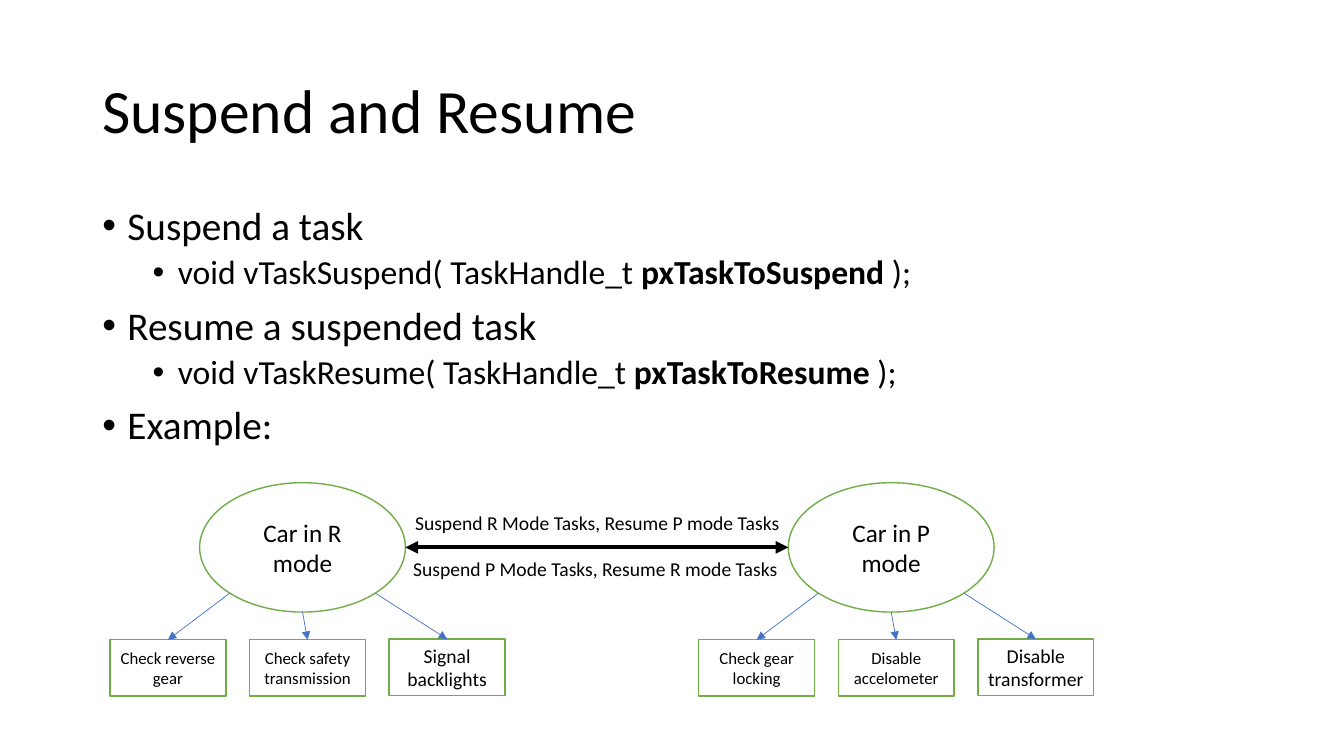
import math

import pptx
import pptx.dml.color
import pptx.enum.shapes
import pptx.enum.text
import pptx.oxml.ns
import pptx.util
from lxml import etree

Pt = pptx.util.Pt
SHAPE = pptx.enum.shapes.MSO_SHAPE
ANCHOR = pptx.enum.text.MSO_ANCHOR
ALIGN = pptx.enum.text.PP_ALIGN
qn = pptx.oxml.ns.qn

COLORS = {"text": "000000", "fill": "FFFFFF", "outline": "70AD47", "arrow": "4472C4"}

BULLETS = [
    (0, ["Suspend a task"]),
    (1, ["void vTaskSuspend( TaskHandle_t ", "pxTaskToSuspend", " );"]),
    (0, ["Resume a suspended task"]),
    (1, ["void vTaskResume( TaskHandle_t ", "pxTaskToResume", " );"]),
    (0, ["Example:"]),
]
MODES = [
    ("Car in R mode", ["Check reverse gear", "Check safety transmission", "Signal backlights"]),
    ("Car in P mode", ["Check gear locking", "Disable accelometer", "Disable transformer"]),
]
MODE_X, MODE_Y, MODE_W, MODE_H, MODE_STEP = 142.6, 344.8, 147, 92.4, 420.5
TASK_DX, TASK_W, TASK_H, TASK_STEP = -64, 82.8, 40.3, 99.7
TASK_STYLES = [(12, 457), (12, 457), (14, 456.5)]  # text size, top


class Deck:
    font = "Calibri"

    def __init__(self):
        self.prs = pptx.Presentation()
        self.prs.slide_width, self.prs.slide_height = Pt(960), Pt(540)
        self.slide = self.prs.slides.add_slide(self.prs.slide_layouts[6])

    def color(self, name):
        return pptx.dml.color.RGBColor.from_string(COLORS[name])

    def format_runs(self, p, size):
        for r in p.runs:
            r.font.name, r.font.size = self.font, Pt(size)
            r.font.color.rgb = self.color("text")

    def text(self, x, y, w, h, text, size, anchor=ANCHOR.TOP, wrap=True):
        sp = self.slide.shapes.add_textbox(Pt(x), Pt(y), Pt(w), Pt(h))
        tf = sp.text_frame
        tf.word_wrap, tf.vertical_anchor = wrap, anchor
        tf.text = text
        tf.paragraphs[0].line_spacing = 0.9 if wrap else 1.0
        self.format_runs(tf.paragraphs[0], size)

    def bullets(self, x, y, w, h, items):
        """Add a two-level list; the second part of an item is bold."""
        tf = self.slide.shapes.add_textbox(Pt(x), Pt(y), Pt(w), Pt(h)).text_frame
        tf.word_wrap = True
        for i, (level, parts) in enumerate(items):
            p = tf.add_paragraph() if i else tf.paragraphs[0]
            p.level, p.line_spacing = level, 0.9
            p.space_before = Pt(5 if level else 10)
            for j, part in enumerate(parts):
                r = p.add_run()
                r.text, r.font.bold = part, j == 1
            self.format_runs(p, 24 if level else 28)
            pPr = p._p.get_or_add_pPr()
            pPr.set("marL", str(Pt(18 + 36 * level)))
            pPr.set("indent", str(Pt(-18)))
            etree.SubElement(pPr, qn("a:buFont"), typeface="Arial")
            etree.SubElement(pPr, qn("a:buChar"), char="•")

    def node(self, kind, x, y, w, h, text, size):
        s = self.slide.shapes.add_shape(kind, Pt(x), Pt(y), Pt(w), Pt(h))
        s.shadow.inherit = False
        s.fill.solid()
        s.fill.fore_color.rgb = self.color("fill")
        s.line.color.rgb, s.line.width = self.color("outline"), Pt(1)
        tf = s.text_frame
        tf.word_wrap, tf.vertical_anchor = True, ANCHOR.MIDDLE
        tf.text = text
        tf.paragraphs[0].alignment = ALIGN.CENTER
        self.format_runs(tf.paragraphs[0], size)

    def arrow(self, x1, y1, x2, y2, color, width, ends=("tailEnd",)):
        s = self.slide.shapes.add_connector(
            pptx.enum.shapes.MSO_CONNECTOR.STRAIGHT, Pt(x1), Pt(y1), Pt(x2), Pt(y2))
        s.line.color.rgb, s.line.width = self.color(color), Pt(width)
        for end in ends:
            etree.SubElement(s.line._get_or_add_ln(), qn("a:" + end), type="triangle")
        etree.SubElement(s._element.spPr, qn("a:effectLst"))

    def mode(self, x, name, tasks):
        """Add a mode ellipse with an arrow to each of its tasks."""
        self.node(SHAPE.OVAL, x, MODE_Y, MODE_W, MODE_H, name, 18)
        cx, cy = x + MODE_W / 2, MODE_Y + MODE_H / 2
        for i, (task, (size, top)) in enumerate(zip(tasks, TASK_STYLES)):
            left = x + TASK_DX + i * TASK_STEP
            self.node(SHAPE.RECTANGLE, left, top, TASK_W, TASK_H, task, size)
            angle = math.radians(135 - 45 * i)
            self.arrow(cx + MODE_W / 2 * math.cos(angle), cy + MODE_H / 2 * math.sin(angle),
                       left + TASK_W / 2, top, "arrow", 0.5)


def main():
    deck = Deck()
    deck.text(66, 28.8, 828, 104.4, "Suspend and Resume", 44, ANCHOR.MIDDLE)
    deck.bullets(66, 144, 828, 342.7, BULLETS)
    for i, (name, tasks) in enumerate(MODES):
        deck.mode(MODE_X + i * MODE_STEP, name, tasks)
    deck.text(289.4, 361.4, 277, 24.5, "Suspend R Mode Tasks, Resume P mode Tasks", 14, wrap=False)
    deck.text(288, 394, 277, 24.5, "Suspend P Mode Tasks, Resume R mode Tasks", 14, wrap=False)
    middle = MODE_Y + MODE_H / 2
    deck.arrow(MODE_X + MODE_W, middle, MODE_X + MODE_STEP, middle, "text", 3,
               ("headEnd", "tailEnd"))
    deck.prs.save("out.pptx")


if __name__ == "__main__":
    main()
